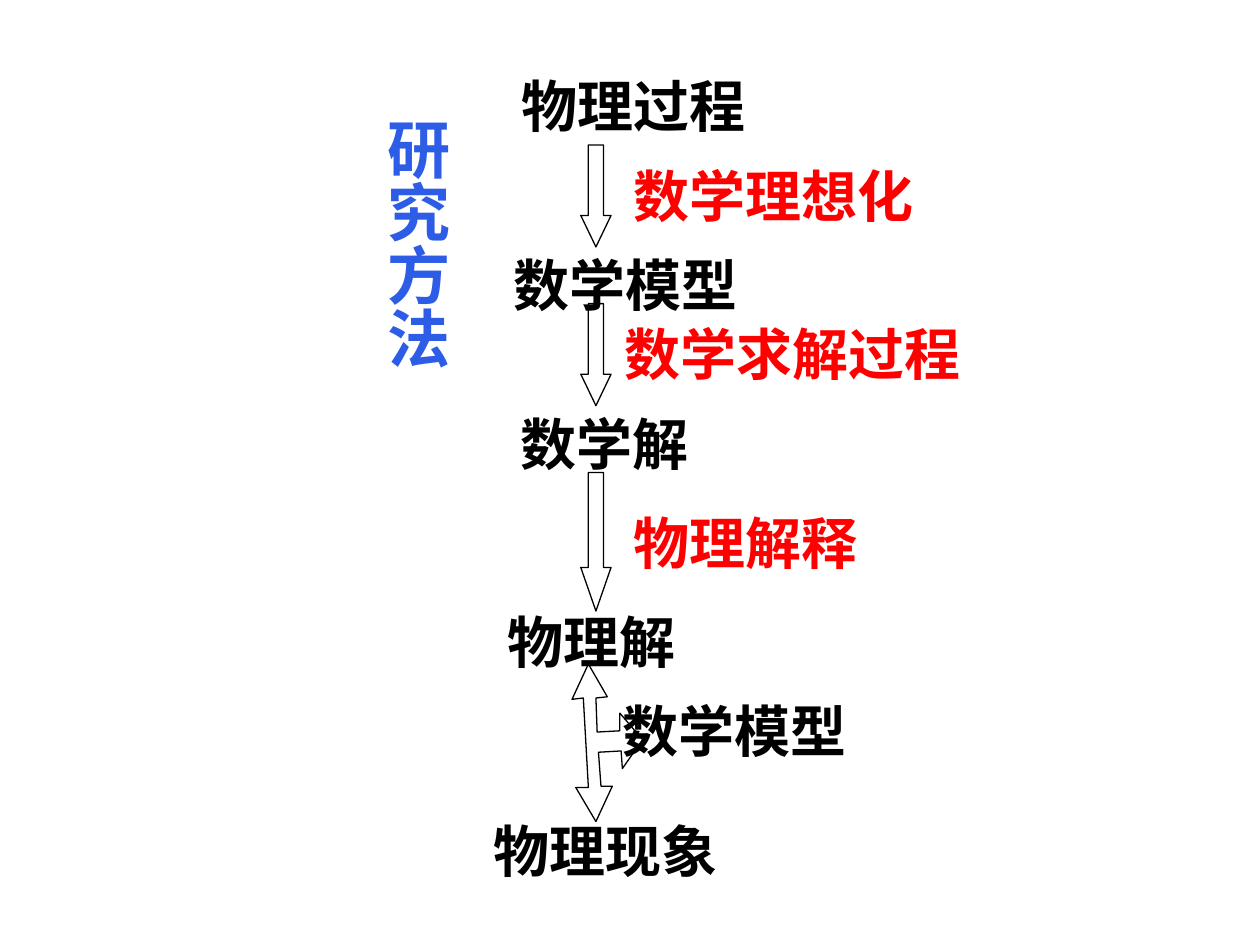
"""Build a slide showing the research method as a vertical flow of steps."""
from typing import NamedTuple

from lxml.etree import SubElement
from pptx import Presentation
from pptx.dml.color import RGBColor
from pptx.enum.shapes import MSO_SHAPE as Shape
from pptx.enum.text import MSO_AUTO_SIZE as AutoSize, PP_ALIGN as Align
from pptx.oxml.ns import qn
from pptx.util import Inches, Pt

BLACK = RGBColor(0x00, 0x00, 0x00)
WHITE = RGBColor(0xFF, 0xFF, 0xFF)
RED = RGBColor(0xFF, 0x00, 0x00)
BLUE = RGBColor(0x2D, 0x5C, 0xE7)
CJK_FONT = "Noto Sans CJK SC"


class Label(NamedTuple):
    text: str
    x: float
    y: float
    w: float
    color: RGBColor = BLACK
    wrap: bool = False


class Arrow(NamedTuple):
    y: float
    h: float
    head: float


ARROWS = [Arrow(2.41, 0.81, 1.04), Arrow(1.15, 0.81, 1.04), Arrow(3.75, 1.1, 1.44)]
LABELS = [
    Label("物理现象", 3.82, 6.43, 1.98),
    Label("数学模型", 4.84, 5.48, 3.07, wrap=True),
    Label("物理解", 3.93, 4.77, 1.63),
    Label("物理解释", 4.93, 3.99, 1.98, RED),
    Label("数学解", 4.03, 3.2, 1.63),
    Label("数学求解过程", 4.86, 2.49, 2.87, RED),
    Label("数学模型", 3.98, 1.94, 2.08),
    Label("数学理想化", 4.93, 1.23, 2.45, RED),
    Label("物理过程", 4.04, 0.52, 2.08),
]
THREE_WAY = [
    (5.1, 5.87), (4.92, 5.66), (4.92, 5.8), (4.74, 5.81), (4.73, 5.54), (4.82, 5.53),
    (4.67, 5.27), (4.54, 5.55), (4.63, 5.54), (4.67, 6.25), (4.57, 6.25), (4.73, 6.52),
    (4.86, 6.24), (4.77, 6.24), (4.75, 5.97), (4.93, 5.96), (4.94, 6.1),
]


def outline(sp) -> None:
    """Give a shape a white fill and a thin black line."""
    sp.shadow.inherit = False
    sp.fill.solid()
    sp.fill.fore_color.rgb = WHITE
    sp.line.color.rgb = BLACK
    sp.line.width = Pt(0.75)


def add_arrow(s, arrow: Arrow) -> None:
    """Add one downward arrow of the main column."""
    sp = s.shapes.add_shape(
        Shape.DOWN_ARROW, Inches(4.61), Inches(arrow.y), Inches(0.24), Inches(arrow.h))
    sp.adjustments[0] = 0.5
    sp.adjustments[1] = arrow.head
    outline(sp)


def add_three_way(s) -> None:
    """Add the arrow that points up, down and right."""
    start, *rest = [(Inches(x), Inches(y)) for x, y in THREE_WAY]
    builder = s.shapes.build_freeform(*start)
    builder.add_line_segments(rest, close=True)
    outline(builder.convert_to_shape())


def add_label(s, label: Label, h: float = 0.64, size: int = 32, font: str = CJK_FONT):
    """Add a bold text box and return its text frame."""
    tf = s.shapes.add_textbox(
        Inches(label.x), Inches(label.y), Inches(label.w), Inches(h)).text_frame
    tf.word_wrap = label.wrap
    tf.auto_size = AutoSize.SHAPE_TO_FIT_TEXT
    p = tf.paragraphs[0]
    p.text = label.text
    p.font.size = Pt(size)
    p.font.bold = True
    p.font.color.rgb = label.color
    p.font.name = font
    SubElement(p._p.pPr.find(qn("a:defRPr")), qn("a:ea"), typeface=font)
    return tf


def add_heading(s) -> None:
    """Add the vertical heading, centred along a box of fixed height."""
    tf = add_label(s, Label("研究方法", 2.86, 0.84, 0.8, BLUE, True), 4.65, 36, "Arial")
    tf.auto_size = AutoSize.NONE
    tf.margin_left = tf.margin_right = Inches(0.05)
    tf.margin_top = tf.margin_bottom = Inches(0.1)
    tf.paragraphs[0].alignment = Align.CENTER
    tf._txBody.bodyPr.set("vert", "eaVert")


def main() -> None:
    """Build and save the presentation."""
    prs = Presentation()
    prs.slide_width, prs.slide_height = Inches(10), Inches(7.5)
    s = prs.slides.add_slide(prs.slide_layouts[6])
    for arrow in ARROWS[:2]:
        add_arrow(s, arrow)
    add_three_way(s)
    add_arrow(s, ARROWS[2])
    for label in LABELS:
        add_label(s, label)
    add_heading(s)
    prs.save("out.pptx")


if __name__ == "__main__":
    main()
